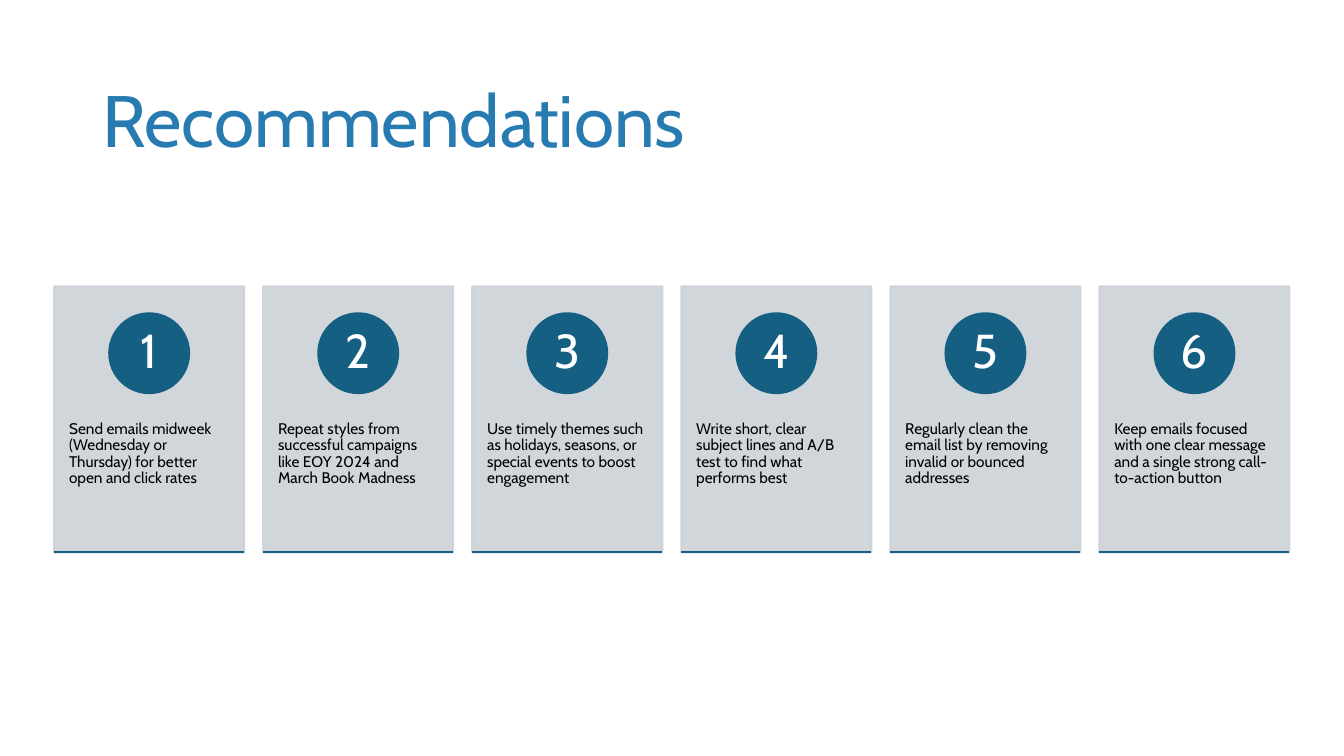
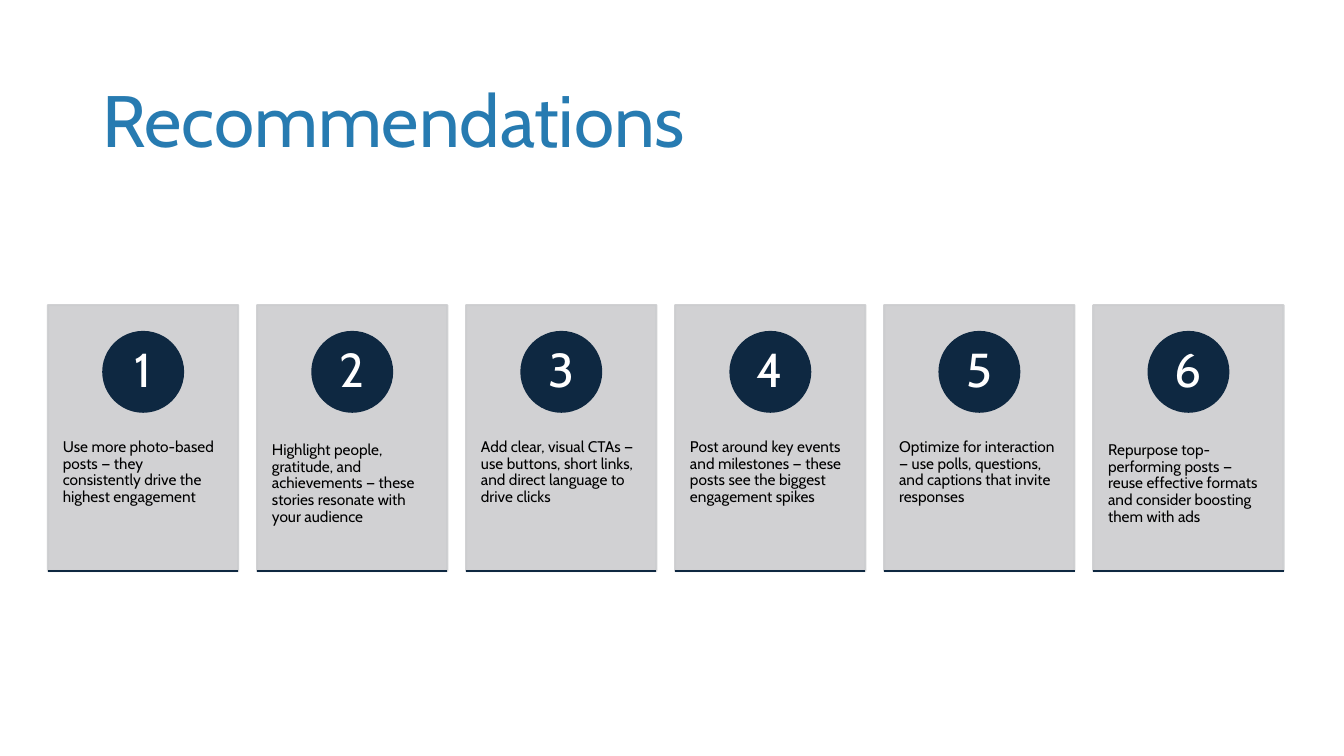
import pptx
import pptx.dml.color
import pptx.enum.shapes
import pptx.enum.text
import pptx.oxml.ns
import pptx.util
from lxml import etree

Pt = pptx.util.Pt
SHAPES = pptx.enum.shapes.MSO_SHAPE
ALIGN = pptx.enum.text.PP_ALIGN
ANCHOR = pptx.enum.text.MSO_ANCHOR

FONT = "Cabin"
TITLE_BOX = (66, 44, 828, 89.5)
TITLE_FORMAT = {"size": 52, "color": "277BB1", "anchor": ANCHOR.MIDDLE}
NUMBER_FORMAT = {"size": 34, "color": "FFFFFF", "anchor": ANCHOR.MIDDLE,
                 "align": ALIGN.CENTER, "insets": (4.3, 0.7)}
BODY_FORMAT = {"size": 11, "color": "000000", "insets": (10.6, 25.9)}

CARD_PITCH = 149.33
CARD_HEIGHT = 190
CIRCLE_SIZE = 57
NUMBER_SIZE = 40.3
LINE_WIDTH = 1.5

SLIDES = [
    {
        "row": (38.7, 204.6, 135.7),
        "colors": {"card": "CCD2D8", "accent": "156082"},
        "texts": [
            "Send emails midweek (Wednesday or Thursday) for better open and click rates",
            "Repeat styles from successful campaigns like EOY 2024 and March Book Madness",
            "Use timely themes such as holidays, seasons, or special events to boost engagement",
            "Write short, clear subject lines and A/B test to find what performs best",
            "Regularly clean the email list by removing invalid or bounced addresses",
            "Keep emails focused with one clear message and a single strong call-to-action button",
        ],
    },
    {
        "row": (34.3, 217.9, 135.9),
        "colors": {"card": "CCCDCF", "accent": "0E2841"},
        "texts": [
            "Use more photo-based posts — they consistently drive the highest engagement",
            "Highlight people, gratitude, and achievements — these stories resonate with your audience",
            "Add clear, visual CTAs — use buttons, short links, and direct language to drive clicks",
            "Post around key events and milestones — these posts see the biggest engagement spikes",
            "Optimize for interaction — use polls, questions, and captions that invite responses",
            "Repurpose top-performing posts — reuse effective formats and consider boosting them with ads",
        ],
    },
]


def hex_color(value):
    return pptx.dml.color.RGBColor.from_string(value)


def set_all(target, values):
    for name, value in values.items():
        setattr(target, name, value)


def add_text(slide, box, text, style):
    shape = slide.shapes.add_textbox(*map(Pt, box))
    horizontal, vertical = style.get("insets", (7.2, 3.6))
    frame = shape.text_frame
    set_all(frame, {
        "word_wrap": True,
        "vertical_anchor": style.get("anchor", ANCHOR.TOP),
        "margin_left": Pt(horizontal), "margin_right": Pt(horizontal),
        "margin_top": Pt(vertical), "margin_bottom": Pt(vertical),
    })
    paragraph = frame.paragraphs[0]
    set_all(paragraph, {"line_spacing": 0.9,
                        "alignment": style.get("align", ALIGN.LEFT)})
    run = paragraph.add_run()
    run.text = text
    set_all(run.font, {"name": FONT, "size": Pt(style["size"])})
    run.font.color.rgb = hex_color(style["color"])


def add_filled(slide, kind, box, color, opacity=100):
    shape = slide.shapes.add_shape(kind, *map(Pt, box))
    shape.shadow.inherit = False
    shape.fill.solid()
    shape.line.width = Pt(LINE_WIDTH)
    for color_format in (shape.fill.fore_color, shape.line.color):
        color_format.rgb = hex_color(color)
    if opacity < 100:
        for node in shape.element.spPr.iter(pptx.oxml.ns.qn("a:srgbClr")):
            etree.SubElement(node, pptx.oxml.ns.qn("a:alpha"), val=str(opacity * 1000))


def add_rule(slide, left, top, width, color):
    rule = slide.shapes.add_connector(
        pptx.enum.shapes.MSO_CONNECTOR.STRAIGHT,
        *map(Pt, (left, top, left + width, top)))
    rule.line.width = Pt(LINE_WIDTH)
    rule.line.color.rgb = hex_color(color)
    etree.SubElement(rule.element.spPr, pptx.oxml.ns.qn("a:effectLst"))


def add_card(slide, box, number, text, colors):
    left, top, width, height = box
    center_x, center_y = left + width / 2, top + 47.7

    def centered(size):
        return center_x - size / 2, center_y - size / 2, size, size

    # Panel and text
    add_filled(slide, SHAPES.RECTANGLE, box, colors["card"], opacity=90)
    add_text(slide, (left, top + 72.2, width, 114), text, BODY_FORMAT)
    # Number badge
    add_filled(slide, SHAPES.OVAL, centered(CIRCLE_SIZE), colors["accent"])
    add_text(slide, centered(NUMBER_SIZE), str(number), NUMBER_FORMAT)
    # Bottom rule
    add_rule(slide, left, top + height, width, colors["accent"])


def add_recommendations(presentation, row, colors, texts):
    slide = presentation.slides.add_slide(presentation.slide_layouts[6])
    add_text(slide, TITLE_BOX, "Recommendations", TITLE_FORMAT)
    left, top, width = row
    for index, text in enumerate(texts):
        box = (left + index * CARD_PITCH, top, width, CARD_HEIGHT)
        add_card(slide, box, index + 1, text, colors)


def main():
    presentation = pptx.Presentation()
    set_all(presentation, {"slide_width": Pt(960), "slide_height": Pt(540)})
    for content in SLIDES:
        add_recommendations(presentation, **content)
    presentation.save("out.pptx")


if __name__ == "__main__":
    main()
